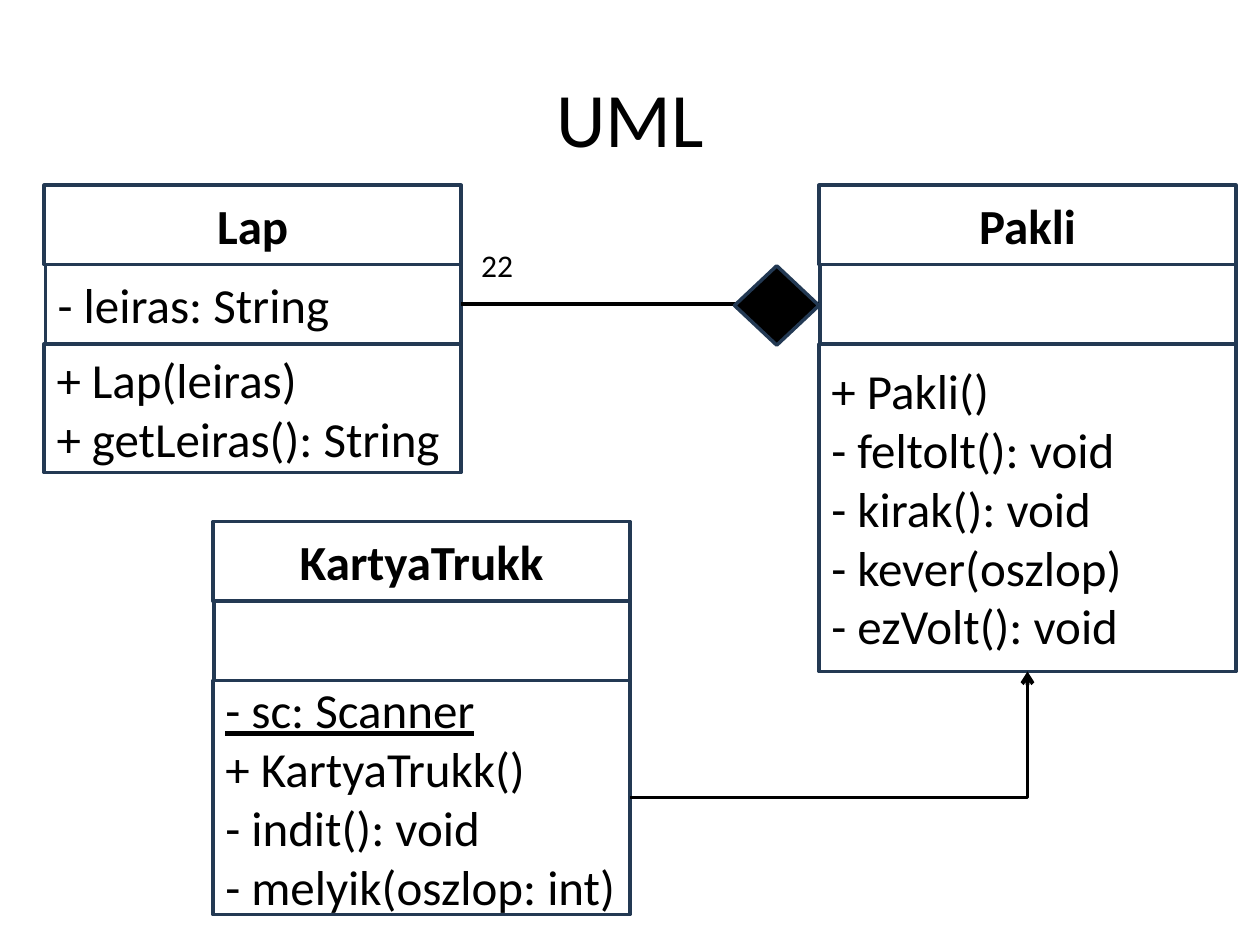
from lxml.etree import SubElement
from pptx import Presentation
from pptx.dml.color import RGBColor
from pptx.enum.shapes import MSO_CONNECTOR as Conn, MSO_SHAPE as Shape
from pptx.enum.text import MSO_ANCHOR as Anchor, MSO_AUTO_SIZE as Auto, PP_ALIGN as Align
from pptx.oxml.ns import qn
from pptx.util import Inches, Pt

BLACK = RGBColor(0x00, 0x00, 0x00)
NAVY = RGBColor(0x23, 0x39, 0x53)
FONT = "Calibri"

TITLE = "UML"
COUNT = "22"
WIDE, ROW = 3.31, 0.63
CLASSES = [
    dict(name="Lap", left=0.35, top=1.47, tall=1.02, inset=0.01,
         fields=["- leiras: String"],
         methods=["+ Lap(leiras)", "+ getLeiras(): String"]),
    dict(name="KartyaTrukk", left=1.69, top=4.14, tall=1.86, inset=0.01,
         fields=[],
         methods=["- sc: Scanner", "+ KartyaTrukk()", "- indit(): void",
                  "- melyik(oszlop: int)"]),
    dict(name="Pakli", left=6.5, top=1.47, tall=2.6, inset=0.01,
         fields=[],
         methods=["+ Pakli()", "- feltolt(): void", "- kirak(): void",
                  "- kever(oszlop)", "- ezVolt(): void"]),
]
STATIC = {"- sc: Scanner"}


def write(frame, lines, size=28, bold=False, align=Align.LEFT, anchor=Anchor.MIDDLE):
    frame.vertical_anchor = anchor
    for i, line in enumerate(lines):
        para = frame.add_paragraph() if i else frame.paragraphs[0]
        para.alignment = align
        run = para.add_run()
        run.text = line
        font = run.font
        font.name, font.size, font.bold = FONT, Pt(size), bold
        font.color.rgb = BLACK
        if line in STATIC:
            font.underline = True


def block(home, kind, left, top, width, height, fill=None):
    box = home.add_shape(kind, *map(Inches, (left, top, width, height)))
    box.shadow.inherit = False
    if fill is None:
        box.fill.background()
    else:
        box.fill.solid()
        box.fill.fore_color.rgb = fill
    box.line.color.rgb = NAVY
    box.line.width = Pt(2)
    return box


def draw(shapes, name, left, top, tall, inset, fields, methods):
    home = shapes.add_group_shape().shapes
    rows = [([name], 0, ROW), (fields, inset, ROW), (methods, 0, tall)]
    for i, (lines, shift, height) in enumerate(rows):
        box = block(home, Shape.RECTANGLE, left + shift, top + i * ROW,
                    WIDE - shift, height)
        head = i == 0
        write(box.text_frame, lines, bold=head,
              align=Align.CENTER if head else Align.LEFT)


def link(shapes, kind, start, end):
    line = shapes.add_connector(kind, *map(Inches, start + end))
    line.line.color.rgb = BLACK
    line.line.width = Pt(2.25)
    SubElement(line._element.spPr, qn("a:effectLst"))
    return line


def main():
    deck = Presentation()
    deck.slide_width, deck.slide_height = Inches(10), Inches(7.5)
    slide = deck.slides.add_slide(deck.slide_layouts[5])
    shapes = slide.shapes

    title = shapes.title
    title.left, title.top, title.width, title.height = map(Inches, (0.5, 0.3, 9, 1.25))
    write(title.text_frame, [TITLE], size=44, align=Align.CENTER)

    for item in CLASSES:
        draw(shapes, **item)

    card, trick, pack = CLASSES
    mid = card["top"] + 1.5 * ROW
    link(shapes, Conn.STRAIGHT, (pack["left"], mid), (card["left"] + WIDE, mid))
    gem = 0.67
    block(shapes, Shape.DIAMOND, pack["left"] - gem, mid - ROW / 2 + 0.01, gem, ROW,
          fill=BLACK)

    note = shapes.add_textbox(*map(Inches, (3.72, 1.9, 0.46, 0.4))).text_frame
    note.word_wrap = False
    note.auto_size = Auto.SHAPE_TO_FIT_TEXT
    write(note, [COUNT], size=18, anchor=Anchor.TOP)

    start = (trick["left"] + WIDE, trick["top"] + 2 * ROW + trick["tall"] / 2)
    end = (pack["left"] + WIDE / 2, pack["top"] + 2 * ROW + pack["tall"])
    bend = link(shapes, Conn.ELBOW, start, end)
    bend._element.spPr.find(qn("a:prstGeom")).set("prst", "bentConnector2")
    SubElement(bend.line._get_or_add_ln(), qn("a:tailEnd"), type="arrow")

    deck.save("out.pptx")


if __name__ == "__main__":
    main()
